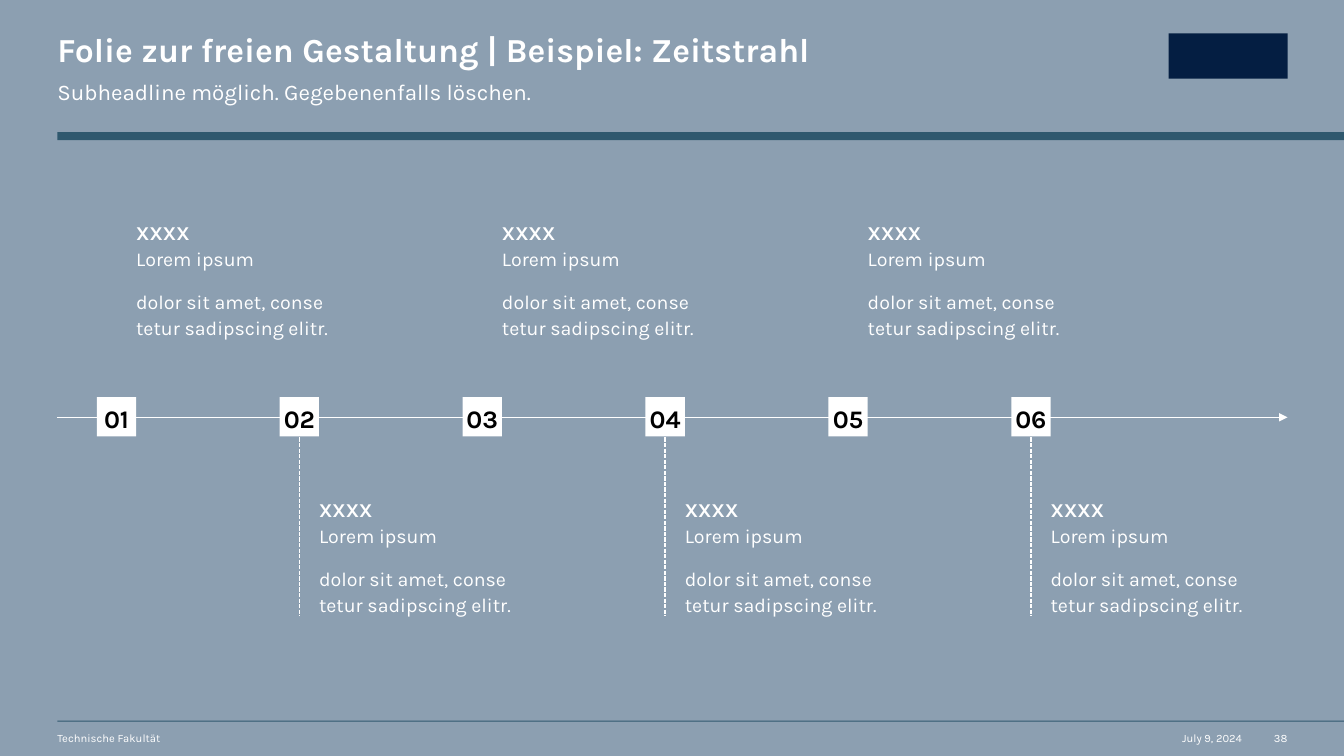
from lxml.etree import SubElement
from pptx import Presentation
from pptx.dml.color import RGBColor
from pptx.enum.dml import MSO_LINE
from pptx.enum.shapes import MSO_CONNECTOR, MSO_SHAPE
from pptx.enum.text import MSO_ANCHOR, PP_ALIGN
from pptx.oxml.ns import qn
from pptx.util import Inches, Pt

BACKGROUND = "8C9FB1"
TEAL = "2F586E"
NAVY = "041E42"
WHITE = "FFFFFF"
BLACK = "000000"
LEFT = 0.57
RIGHT = 12.77

deck = Presentation()
deck.slide_width = Inches(13.33)
deck.slide_height = Inches(7.5)
slide = deck.slides.add_slide(deck.slide_layouts[6])
slide.background.fill.solid()
slide.background.fill.fore_color.rgb = RGBColor.from_string(BACKGROUND)


def style(paragraph, size, color=WHITE, bold=None, align=PP_ALIGN.LEFT, spacing=1.0, after=0):
    paragraph.font.name = "Karla"
    paragraph.font.size = Pt(size)
    paragraph.font.bold = bold
    paragraph.font.color.rgb = RGBColor.from_string(color)
    paragraph.alignment = align
    paragraph.line_spacing = spacing
    paragraph.space_after = Pt(after)


def add_line(x1, y1, x2, y2, color):
    line = slide.shapes.add_connector(
        MSO_CONNECTOR.STRAIGHT, Inches(x1), Inches(y1), Inches(x2), Inches(y2))
    line.line.color.rgb = RGBColor.from_string(color)
    line.line.width = Pt(1)
    SubElement(line._element.spPr, qn("a:effectLst"))
    return line


for left, top, width, height, color in [
    (LEFT, 7.15, 12.77, 0.01, TEAL),
    (LEFT, 1.31, 12.77, 0.08, TEAL),
    (11.59, 0.33, 1.18, 0.45, NAVY),
]:
    block = slide.shapes.add_shape(
        MSO_SHAPE.RECTANGLE, Inches(left), Inches(top), Inches(width), Inches(height))
    block.fill.solid()
    block.fill.fore_color.rgb = RGBColor.from_string(color)
    block.line.fill.background()
    block.shadow.inherit = False

for text, left, top, width, height, size, bold, align, spacing in [
    ("Folie zur freien Gestaltung | Beispiel: Zeitstrahl",
     LEFT, 0.33, 7.49, 0.36, 24, True, PP_ALIGN.LEFT, 0.9),
    ("Subheadline möglich. Gegebenenfalls löschen.",
     LEFT, 0.75, 7.49, 0.27, 16, None, PP_ALIGN.LEFT, 1.1),
    ("Technische Fakultät", LEFT, 7.26, 5.98, 0.13, 8, None, PP_ALIGN.LEFT, 1.0),
    ("July 9, 2024", 11.58, 7.26, 0.74, 0.13, 8, None, PP_ALIGN.RIGHT, 1.0),
    ("38", 12.63, 7.26, 0.14, 0.13, 8, None, PP_ALIGN.RIGHT, 1.0),
]:
    frame = slide.shapes.add_textbox(
        Inches(left), Inches(top), Inches(width), Inches(height)).text_frame
    frame.margin_left = frame.margin_top = frame.margin_right = frame.margin_bottom = 0
    frame.word_wrap = align == PP_ALIGN.LEFT
    frame.text = text
    style(frame.paragraphs[0], size, bold=bold, align=align, spacing=spacing)

time_axis = add_line(LEFT, 4.14, RIGHT, 4.14, WHITE)
SubElement(time_axis.line._get_or_add_ln(), qn("a:tailEnd"), type="triangle")

MARKER_SIZE = 0.39
MARKER_TOP = 3.94
MARKER_STEP = 9.07 / 5

for index in range(6):
    marker_left = 0.96 + index * MARKER_STEP
    above = index % 2 == 0

    marker = slide.shapes.add_shape(
        MSO_SHAPE.RECTANGLE, Inches(marker_left), Inches(MARKER_TOP),
        Inches(MARKER_SIZE), Inches(MARKER_SIZE))
    marker.fill.solid()
    marker.fill.fore_color.rgb = RGBColor.from_string(WHITE)
    marker.line.fill.background()
    marker.shadow.inherit = False
    number = marker.text_frame
    number.margin_left = number.margin_top = number.margin_right = number.margin_bottom = 0
    number.vertical_anchor = MSO_ANCHOR.MIDDLE
    number.text = f"{index + 1:02}"
    style(number.paragraphs[0], 18, BLACK, True, PP_ALIGN.CENTER, 1.1, 12)

    caption = slide.shapes.add_textbox(
        Inches(marker_left + MARKER_SIZE), Inches(2.17 if above else 4.92),
        Inches(1.95), Inches(1.18)).text_frame
    caption.margin_left = caption.margin_top = caption.margin_right = caption.margin_bottom = 0
    caption.word_wrap = True
    heading = caption.paragraphs[0]
    year = heading.add_run()
    year.text = "XXXX"
    year.font.bold = True
    heading.add_line_break()
    heading.add_run().text = "Lorem ipsum"
    details = caption.add_paragraph()
    details.text = "dolor sit amet, conse\vtetur sadipscing elitr."
    for paragraph in caption.paragraphs:
        style(paragraph, 14, spacing=1.1, after=12)

    center = marker_left + MARKER_SIZE / 2
    stem_top = 2.17 if above else 4.34
    stem = add_line(center, stem_top, center, stem_top + 1.77, BACKGROUND if above else WHITE)
    stem.line.dash_style = MSO_LINE.SQUARE_DOT

deck.save("out.pptx")
